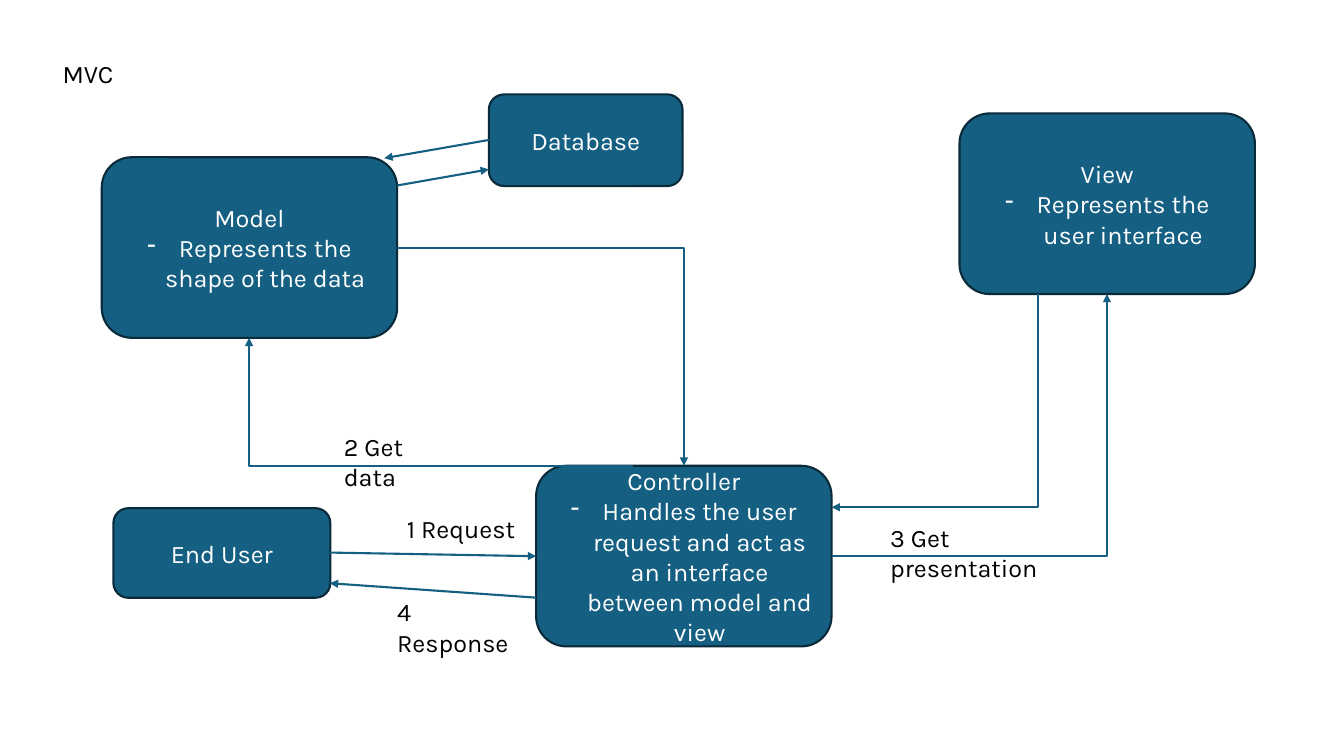
from dataclasses import dataclass

import pptx
import pptx.dml.color
import pptx.enum.shapes
import pptx.enum.text
import pptx.oxml.ns
import pptx.util
from lxml import etree

Pt = pptx.util.Pt
RGBColor = pptx.dml.color.RGBColor
qn = pptx.oxml.ns.qn
MSO_CONNECTOR = pptx.enum.shapes.MSO_CONNECTOR
MSO_SHAPE = pptx.enum.shapes.MSO_SHAPE
MSO_ANCHOR = pptx.enum.text.MSO_ANCHOR
PP_ALIGN = pptx.enum.text.PP_ALIGN

BLUE = RGBColor(0x15, 0x60, 0x82)
NAVY = RGBColor(0x09, 0x2A, 0x39)
BLACK = RGBColor(0, 0, 0)
WHITE = RGBColor(0xFF, 0xFF, 0xFF)
FONT = {"name": "Karla", "size": Pt(18)}
LINE_WIDTH = Pt(1.5)
BULLET_INDENT = Pt(22.5)
PART_W, PART_H = 211, 129


@dataclass
class Box:
    title: str
    left: float
    top: float
    width: float = PART_W
    height: float = PART_H
    role: str = ""


@dataclass
class Label:
    text: str
    left: float
    top: float
    width: float


@dataclass
class Arrow:
    start: tuple[float, float]
    end: tuple[float, float]
    bend: str = ""  # "across": sideways first, "down": downwards first


BOXES = [
    Box("End User", 81, 363, 155, 64),
    Box("Controller", 383, 332.7, role="Handles the user request and act as "
        "an interface between model and view"),
    Box("Model", 72.7, 112.3, role="Represents the shape of the data"),
    Box("Database", 349.2, 67.4, 138.4, 65.5),
    Box("View", 685.4, 81, role="Represents the user interface"),
]

ARROWS = [
    Arrow((235.6, 394.7), (383, 397.3)),               # request
    Arrow((383, 426.9), (235.6, 416.6)),               # response
    Arrow((283.7, 132.5), (349.2, 121)),               # model to database
    Arrow((349.2, 100), (274.5, 113)),                 # database to model
    Arrow((452.2, 332.7), (177.9, 241.3), "across"),   # controller to model
    Arrow((283.7, 177), (488.6, 332.7), "across"),     # model to controller
    Arrow((594, 397.3), (790.7, 210), "across"),       # controller to view
    Arrow((741.4, 210), (594, 362.3), "down"),         # view to controller
]

LABELS = [
    Label("MVC", 37.7, 38.2, 52.2),
    Label("1 Request", 283.5, 363, 93),
    Label("2 Get data", 238.5, 304.4, 95),
    Label("3 Get presentation", 628.7, 369.4, 160),
    Label("4 Response", 276.5, 422.6, 106),
]


def write(p, text: str, color: RGBColor) -> None:
    r = p.add_run()
    r.text = text
    for key, value in FONT.items():
        setattr(r.font, key, value)
    r.font.color.rgb = color


def add_box(s, box: Box) -> None:
    sp = s.shapes.add_shape(MSO_SHAPE.ROUNDED_RECTANGLE, Pt(box.left),
                            Pt(box.top), Pt(box.width), Pt(box.height))
    sp.shadow.inherit = False
    sp.fill.solid()
    sp.fill.fore_color.rgb = BLUE
    sp.line.color.rgb = NAVY
    sp.line.width = LINE_WIDTH
    tf = sp.text_frame
    tf.word_wrap = True
    tf.vertical_anchor = MSO_ANCHOR.MIDDLE
    p = tf.paragraphs[0]
    p.alignment = PP_ALIGN.CENTER
    write(p, box.title, WHITE)
    if box.role:
        p = tf.add_paragraph()
        p.alignment = PP_ALIGN.CENTER
        pPr = p._p.get_or_add_pPr()
        pPr.set("marL", str(BULLET_INDENT))
        pPr.set("indent", str(-BULLET_INDENT))
        etree.SubElement(pPr, qn("a:buChar")).set("char", "-")
        write(p, box.role, WHITE)


def add_label(s, label: Label) -> None:
    sp = s.shapes.add_textbox(Pt(label.left), Pt(label.top),
                              Pt(label.width), Pt(29))
    tf = sp.text_frame
    tf.word_wrap = True
    write(tf.paragraphs[0], label.text, BLACK)


def add_arrow(s, arrow: Arrow) -> None:
    (x1, y1), (x2, y2) = arrow.start, arrow.end
    if arrow.bend == "down":
        # A quarter turn about the centre swaps the frame's sides
        cx, cy = (x1 + x2) / 2, (y1 + y2) / 2
        half_w, half_h = abs(y2 - y1) / 2, abs(x2 - x1) / 2
        x1, y1, x2, y2 = cx - half_w, cy - half_h, cx + half_w, cy + half_h
    kind = MSO_CONNECTOR.ELBOW if arrow.bend else MSO_CONNECTOR.STRAIGHT
    sp = s.shapes.add_connector(kind, Pt(x1), Pt(y1), Pt(x2), Pt(y2))
    sp.line.color.rgb = BLUE
    sp.line.width = LINE_WIDTH
    spPr = sp._element.spPr
    if arrow.bend:
        spPr.find(qn("a:prstGeom")).set("prst", "bentConnector2")
    if arrow.bend == "down":
        spPr.find(qn("a:xfrm")).set("rot", str(90 * 60000))
    etree.SubElement(spPr.find(qn("a:ln")), qn("a:tailEnd")).set("type", "triangle")
    etree.SubElement(spPr, qn("a:effectLst"))


def main() -> None:
    prs = pptx.Presentation()
    prs.slide_width, prs.slide_height = Pt(960), Pt(540)
    s = prs.slides.add_slide(prs.slide_layouts[6])
    for box in BOXES:
        add_box(s, box)
    for arrow in ARROWS:
        add_arrow(s, arrow)
    for label in LABELS:
        add_label(s, label)
    prs.save("out.pptx")


if __name__ == "__main__":
    main()
